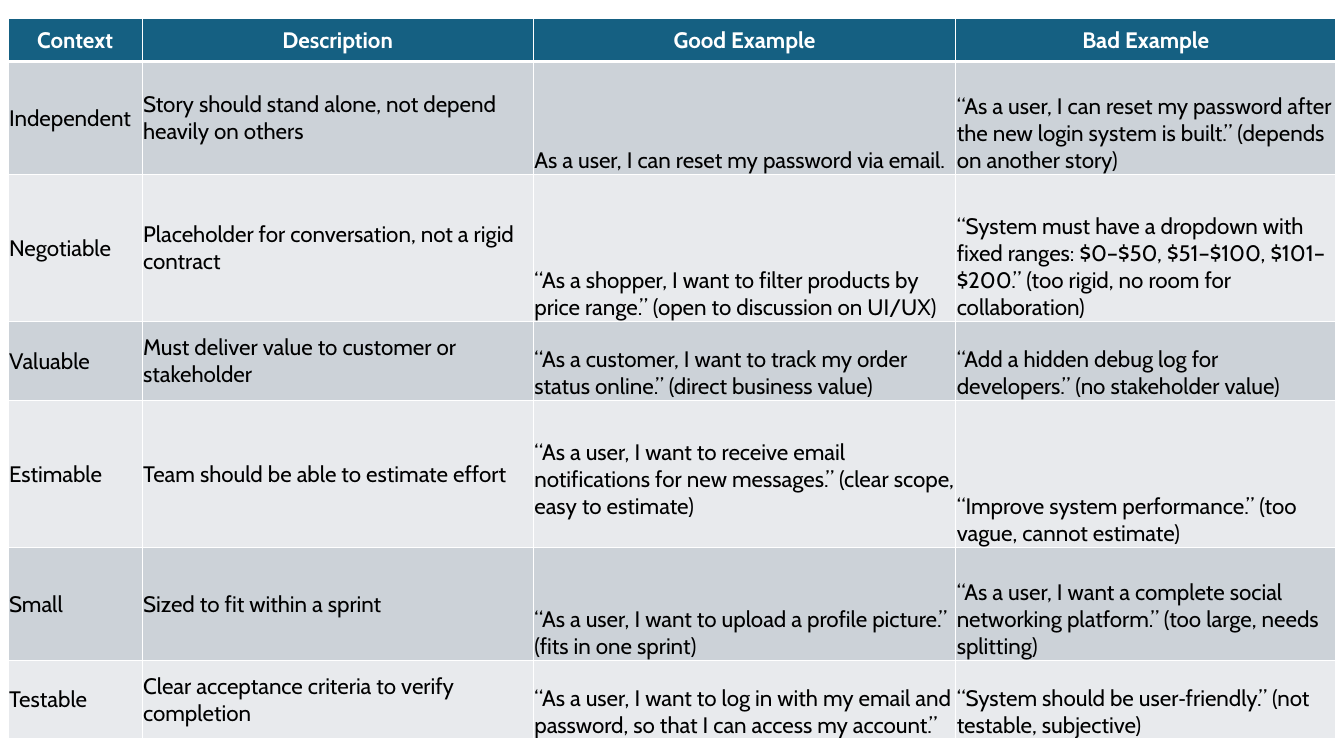
import dataclasses

import lxml.etree
import pptx
import pptx.dml.color
import pptx.enum.text
import pptx.oxml.ns
import pptx.table
import pptx.util

EMU_PER_PX = 9144
ALIGN = pptx.enum.text.PP_ALIGN
ANCHOR = pptx.enum.text.MSO_ANCHOR


@dataclasses.dataclass(frozen=True)
class Theme:
    font: str = "Cabin"
    size: int = 16
    header_fill: str = "156082"
    band_fills: tuple[str, str] = ("CCD2D8", "E8EAED")
    header_text: str = "FFFFFF"
    body_text: str = "000000"
    border: str = "FFFFFF"
    border_width: int = 1
    header_rule_width: int = 3


@dataclasses.dataclass(frozen=True)
class Criterion:
    height: int
    context: str
    description: str
    good: str
    bad: str
    good_bottom: int = 0


THEME = Theme()
LEFT, TOP = 8, 18
COLUMN_WIDTHS = (133, 388, 419, 377)
HEADER = Criterion(43, "Context", "Description", "Good Example", "Bad Example")
CRITERIA = (
    Criterion(
        112,
        "Independent",
        "Story should stand alone, not depend heavily on others",
        "As a user, I can reset my password via email.",
        "“As a user, I can reset my password after the new login system is built.” "
        "(depends on another story)",
    ),
    Criterion(
        146,
        "Negotiable",
        "Placeholder for conversation, not a rigid contract",
        "“As a shopper, I want to filter products by price range.” "
        "(open to discussion on UI/UX)",
        "“System must have a dropdown with fixed ranges: $0–$50, $51–$100, $101–$200.” "
        "(too rigid, no room for collaboration)",
    ),
    Criterion(
        78,
        "Valuable",
        "Must deliver value to customer or stakeholder",
        "“As a customer, I want to track my order status online.” "
        "(direct business value)",
        "“Add a hidden debug log for developers.” (no stakeholder value)",
    ),
    Criterion(
        146,
        "Estimable",
        "Team should be able to estimate effort",
        "“As a user, I want to receive email notifications for new messages.” "
        "(clear scope, easy to estimate)",
        "“Improve system performance.” (too vague, cannot estimate)",
        good_bottom=27,
    ),
    Criterion(
        112,
        "Small",
        "Sized to fit within a sprint",
        "“As a user, I want to upload a profile picture.” (fits in one sprint)",
        "“As a user, I want a complete social networking platform.” "
        "(too large, needs splitting)",
    ),
    Criterion(
        78,
        "Testable",
        "Clear acceptance criteria to verify completion",
        "“As a user, I want to log in with my email and password, "
        "so that I can access my account.”",
        "“System should be user‑friendly.” (not testable, subjective)",
    ),
)


def px(length: int) -> pptx.util.Emu:
    return pptx.util.Emu(length * EMU_PER_PX)


def color(value: str) -> pptx.dml.color.RGBColor:
    return pptx.dml.color.RGBColor.from_string(value)


def draw_borders(cell: pptx.table._Cell, top: int, bottom: int) -> None:
    properties = cell._tc.get_or_add_tcPr()
    side = THEME.border_width
    widths = {"a:lnL": side, "a:lnR": side, "a:lnT": top, "a:lnB": bottom}
    qualify = pptx.oxml.ns.qn
    for position, (tag, width) in enumerate(widths.items()):
        line = lxml.etree.Element(qualify(tag), w=str(pptx.util.Pt(width)))
        fill = lxml.etree.SubElement(line, qualify("a:solidFill"))
        lxml.etree.SubElement(fill, qualify("a:srgbClr"), val=THEME.border)
        properties.insert(position, line)


def write_cell(
    cell: pptx.table._Cell, text: str, fill: str, header: bool, bottom_anchor: bool, bottom: int
) -> None:
    cell.fill.solid()
    cell.fill.fore_color.rgb = color(fill)
    cell.margin_left = cell.margin_right = cell.margin_top = px(1)
    cell.margin_bottom = px(bottom)
    cell.vertical_anchor = ANCHOR.BOTTOM if bottom_anchor else ANCHOR.MIDDLE
    para = cell.text_frame.paragraphs[0]
    para.alignment = ALIGN.CENTER if header else ALIGN.LEFT
    span = para.add_run()
    span.text = text
    span.font.name = THEME.font
    span.font.size = pptx.util.Pt(THEME.size)
    span.font.bold = header
    span.font.color.rgb = color(THEME.header_text if header else THEME.body_text)


def write_row(table: pptx.table.Table, index: int, criterion: Criterion) -> None:
    header = index == 0
    fill = THEME.header_fill if header else THEME.band_fills[(index - 1) % 2]
    top = THEME.header_rule_width if index == 1 else THEME.border_width
    bottom = THEME.header_rule_width if header else THEME.border_width
    table.rows[index].height = px(criterion.height)
    texts = (criterion.context, criterion.description, criterion.good, criterion.bad)
    for column, text in enumerate(texts):
        cell = table.cell(index, column)
        margin = criterion.good_bottom if column == 2 else 0
        write_cell(cell, text, fill, header, not header and column >= 2, margin)
        draw_borders(cell, top, bottom)


def main() -> None:
    deck = pptx.Presentation()
    deck.slide_width, deck.slide_height = px(1333), px(750)
    page = deck.slides.add_slide(deck.slide_layouts[6])
    rows = (HEADER, *CRITERIA)
    height = sum(row.height for row in rows)
    frame = page.shapes.add_table(
        len(rows), len(COLUMN_WIDTHS), px(LEFT), px(TOP), px(sum(COLUMN_WIDTHS)), px(height)
    )
    for column, width in zip(frame.table.columns, COLUMN_WIDTHS):
        column.width = px(width)
    for index, criterion in enumerate(rows):
        write_row(frame.table, index, criterion)
    deck.save("out.pptx")


if __name__ == "__main__":
    main()
